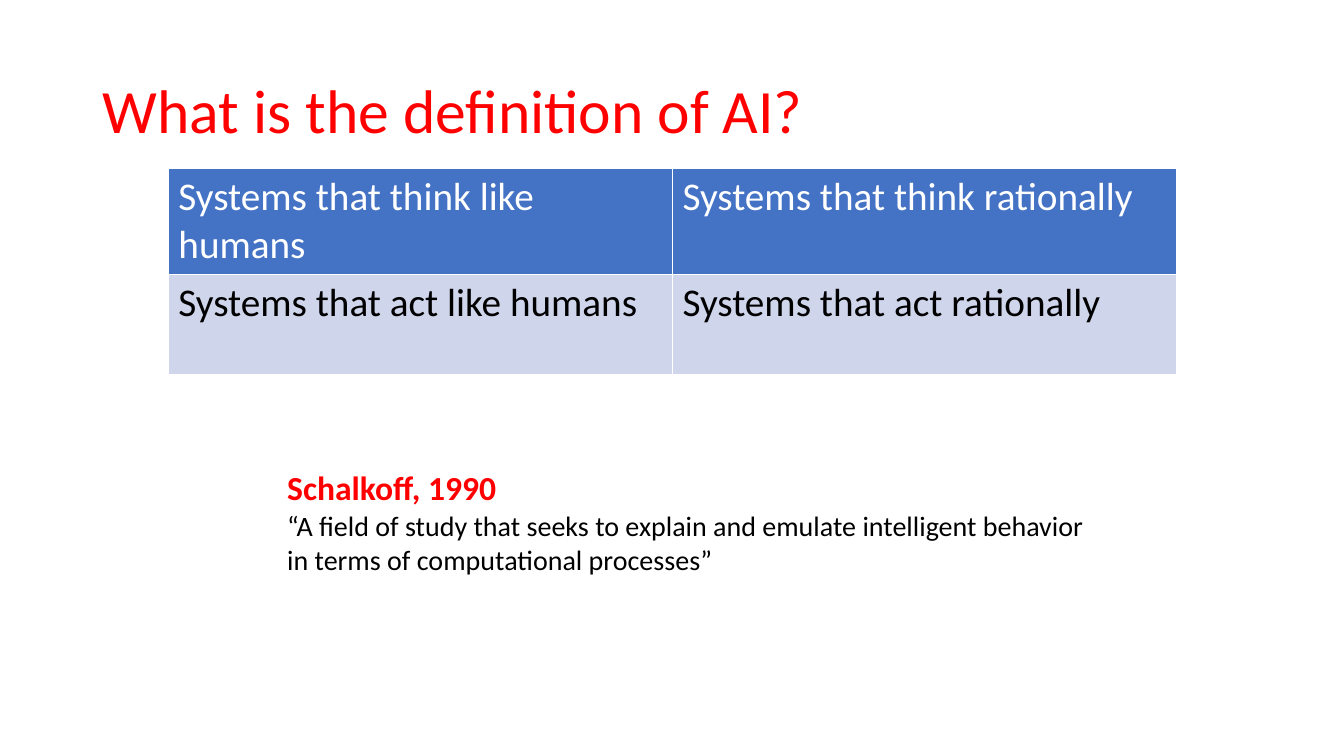
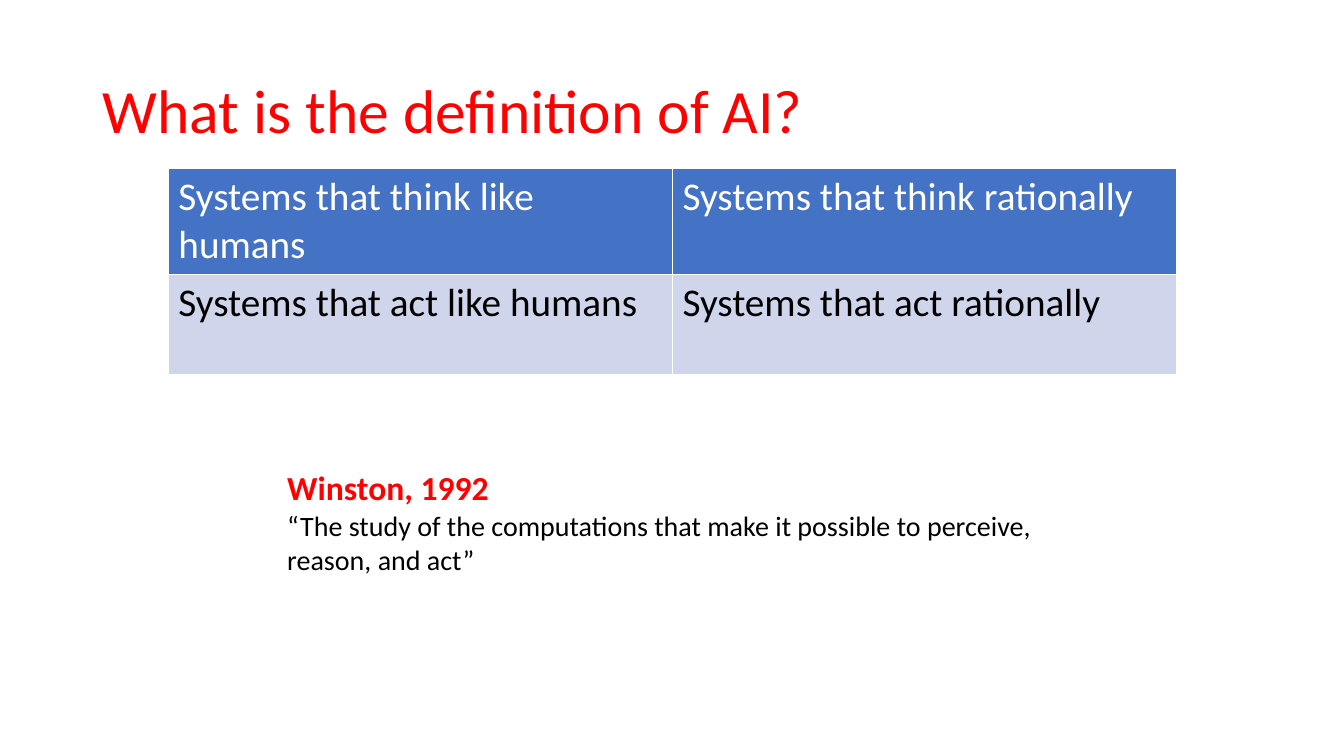
from lxml import etree
from pptx import Presentation
from pptx import util as u
from pptx.dml.color import RGBColor
from pptx.enum import text
from pptx.oxml.ns import qn

COLORS = {"red": "FF0000", "blue": "4472C4", "pale": "CFD5EA",
          "white": "FFFFFF", "black": "000000"}
FONT = "Calibri"
WIDTH, HEIGHT = 13.33, 7.5
TITLE = "What is the definition of AI?"
TITLE_BOX = (0.92, 0.4, 11.5, 1.45)
TABLE_BOX = (1.67, 1.67, 10, 2.03)
QUOTE_BOX = (2.75, 4.58, 8.25, 1.19)
ROW_HEIGHTS = (1.03, 1)
SYSTEMS = [["Systems that think like humans", "Systems that think rationally"],
           ["Systems that act like humans", "Systems that act rationally"]]
ROW_STYLES = [("blue", "white"), ("pale", "black")]
QUOTES = [
    ("Schalkoff, 1990",
     "“A field of study that seeks to explain and emulate intelligent behavior "
     "in terms of computational processes”"),
    ("Winston, 1992",
     "“The study of the computations that make it possible to perceive, "
     "reason, and act”"),
]


def rgb(name):
    return RGBColor.from_string(COLORS[name])


def inches(box):
    return [u.Inches(v) for v in box]


def write(tf, content, size, color, bold=False):
    p = tf.paragraphs[0]
    p.alignment = text.PP_ALIGN.LEFT
    r = p.add_run()
    r.text = content
    formats = {"name": FONT, "size": u.Pt(size), "bold": bold}
    for key, value in formats.items():
        setattr(r.font, key, value)
    r.font.color.rgb = rgb(color)
    return p


def add_title(slide, box):
    sp = slide.shapes.title
    for key, value in zip(("left", "top", "width", "height"), inches(box)):
        setattr(sp, key, value)
    tf = sp.text_frame
    tf.auto_size = text.MSO_AUTO_SIZE.NONE
    tf.vertical_anchor = text.MSO_ANCHOR.MIDDLE
    write(tf, TITLE, 44, "red").line_spacing = 0.9


def set_borders(cell, color, points):
    props = cell._tc.get_or_add_tcPr()
    for i, side in enumerate(("lnL", "lnR", "lnT", "lnB")):
        ln = etree.Element(qn("a:" + side), w=str(u.Pt(points)))
        fill = etree.SubElement(ln, qn("a:solidFill"))
        etree.SubElement(fill, qn("a:srgbClr"), val=COLORS[color])
        props.insert(i, ln)


def add_systems_table(slide, box):
    rows, cols = len(SYSTEMS), len(SYSTEMS[0])
    table = slide.shapes.add_table(rows, cols, *inches(box)).table
    for row, height in zip(table.rows, ROW_HEIGHTS):
        row.height = u.Inches(height)
    for i, (fill, color) in enumerate(ROW_STYLES):
        for j, content in enumerate(SYSTEMS[i]):
            cell = table.cell(i, j)
            cell.fill.solid()
            cell.fill.fore_color.rgb = rgb(fill)
            set_borders(cell, "white", 1)
            write(cell.text_frame, content, 28, color)


def add_text(slide, box, content, size, color, bold=False):
    tf = slide.shapes.add_textbox(*inches(box)).text_frame
    tf.word_wrap = True
    tf.auto_size = text.MSO_AUTO_SIZE.SHAPE_TO_FIT_TEXT
    write(tf, content, size, color, bold)


def add_quote(slide, box, author, quote):
    left, top, width, height = box
    head = 0.42
    add_text(slide, (left, top, width * 0.28, 0.5), author, 24, "red", True)
    add_text(slide, (left, top + head, width, height - head), quote, 20, "black")


def add_definition_slide(prs, author, quote):
    slide = prs.slides.add_slide(prs.slide_layouts.get_by_name("Title Only"))
    add_title(slide, TITLE_BOX)
    add_systems_table(slide, TABLE_BOX)
    add_quote(slide, QUOTE_BOX, author, quote)


def main():
    prs = Presentation()
    prs.slide_width, prs.slide_height = inches((WIDTH, HEIGHT))
    for author, quote in QUOTES:
        add_definition_slide(prs, author, quote)
    prs.save("out.pptx")


if __name__ == "__main__":
    main()
